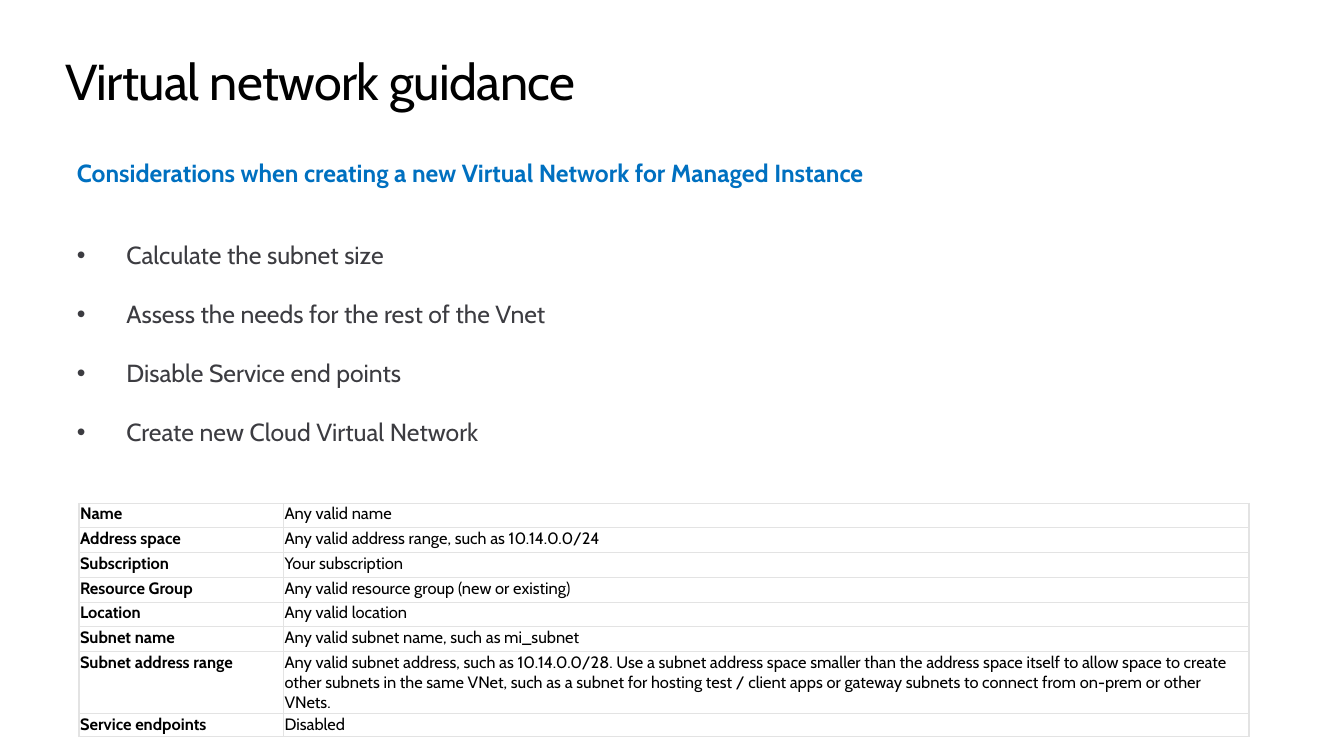
from lxml import etree
from pptx import Presentation
from pptx import util as u
from pptx.dml.color import RGBColor
from pptx.enum import text
from pptx.oxml import ns

TITLE = "Virtual network guidance"
HEADING = "Considerations when creating a new Virtual Network for Managed Instance"
STEPS = [
    "Calculate the subnet size",
    "Assess the needs for the rest of the Vnet",
    "Disable Service end points",
    "Create new Cloud Virtual Network",
]
SETTINGS = [
    ("Name", "Any valid name"),
    ("Address space", "Any valid address range, such as 10.14.0.0/24"),
    ("Subscription", "Your subscription"),
    ("Resource Group", "Any valid resource group (new or existing)"),
    ("Location", "Any valid location"),
    ("Subnet name", "Any valid subnet name, such as mi_subnet"),
    ("Subnet address range",
     "Any valid subnet address, such as 10.14.0.0/28. Use a subnet address space "
     "smaller than the address space itself to allow space to create other subnets "
     "in the same VNet, such as a subnet for hosting test / client apps or gateway "
     "subnets to connect from on-prem or other VNets."),
    ("Service endpoints", "Disabled"),
]
COLORS = {"title": "000000", "heading": "0070C0", "step": "3C3C41",
          "cell": "000000", "fill": "FFFFFF", "border": "E3E3E3"}
SIZES = {"title": 36.7, "heading": 18, "step": 18, "cell": 12}
COLUMNS = [2.07, 9.77]
ROWS = [0.25] * 6 + [0.63, 0.23]
INSETS = ("margin_left", "margin_top", "margin_right", "margin_bottom")


def set_all(target, values):
    for name, value in values.items():
        setattr(target, name, value)


def place(left, top, width, height):
    return dict(zip(("left", "top", "width", "height"),
                    map(u.Inches, (left, top, width, height))))


def write(para, words, role, bold=False):
    span = para.add_run()
    span.text = words
    set_all(span.font, {"name": "Cabin", "size": u.Pt(SIZES[role]), "bold": bold})
    span.font.color.rgb = RGBColor.from_string(COLORS[role])
    return span


def add_bullet(para):
    props = para._p.get_or_add_pPr()
    props.set("marL", str(u.Inches(0.5)))
    props.set("indent", str(-u.Inches(0.5)))
    etree.SubElement(props, ns.qn("a:buFont")).set("typeface", "Arial")
    etree.SubElement(props, ns.qn("a:buChar")).set("char", "•")


def format_cell(cell, last_row):
    set_all(cell, dict.fromkeys(INSETS, u.Inches(0.01)))
    props = cell._tc.get_or_add_tcPr()
    widths = {"L": 1, "R": 1, "T": 0.43, "B": 1 if last_row else 0.43}
    for side, width in widths.items():
        line = etree.SubElement(props, ns.qn(f"a:ln{side}"), w=str(u.Pt(width)))
        paint = etree.SubElement(line, ns.qn("a:solidFill"))
        etree.SubElement(paint, ns.qn("a:srgbClr"), val=COLORS["border"])
    cell.fill.solid()
    cell.fill.fore_color.rgb = RGBColor.from_string(COLORS["fill"])


def add_title(page):
    title = page.shapes.title
    set_all(title, place(0.66, 0.51, 12.29, 0.62))
    frame = title.text_frame
    set_all(frame, {**dict.fromkeys(INSETS, 0), "word_wrap": True,
                    "auto_size": text.MSO_AUTO_SIZE.NONE,
                    "vertical_anchor": text.MSO_ANCHOR.TOP})
    para = frame.paragraphs[0]
    para.alignment = text.PP_ALIGN.LEFT
    write(para, TITLE, "title")._r.get_or_add_rPr().set("spc", "-50")


def add_steps(page):
    box = page.shapes.add_textbox(**place(0.68, 1.55, 11.89, 3.05))
    frame = box.text_frame
    frame.word_wrap = True
    write(frame.paragraphs[0], HEADING, "heading", bold=True)
    for index, step in enumerate(STEPS):
        para = frame.add_paragraph()
        add_bullet(para)
        para.space_before = u.Pt(21.5 if index else 38)
        write(para, step, "step")


def add_settings(page):
    area = place(0.8, 5.09, sum(COLUMNS), sum(ROWS))
    table = page.shapes.add_table(len(ROWS), len(COLUMNS), **area).table
    set_all(table, {"first_row": False, "horz_banding": False})
    for column, width in zip(table.columns, COLUMNS):
        column.width = u.Inches(width)
    for r, (height, setting) in enumerate(zip(ROWS, SETTINGS)):
        table.rows[r].height = u.Inches(height)
        for c, words in enumerate(setting):
            cell = table.cell(r, c)
            format_cell(cell, r == len(ROWS) - 1)
            write(cell.text_frame.paragraphs[0], words, "cell", bold=c == 0)


def main():
    deck = Presentation()
    set_all(deck, {"slide_width": u.Inches(13.6), "slide_height": u.Inches(7.65)})
    page = deck.slides.add_slide(deck.slide_layouts.get_by_name("Title Only"))
    add_title(page)
    add_steps(page)
    add_settings(page)
    deck.save("out.pptx")


if __name__ == "__main__":
    main()
